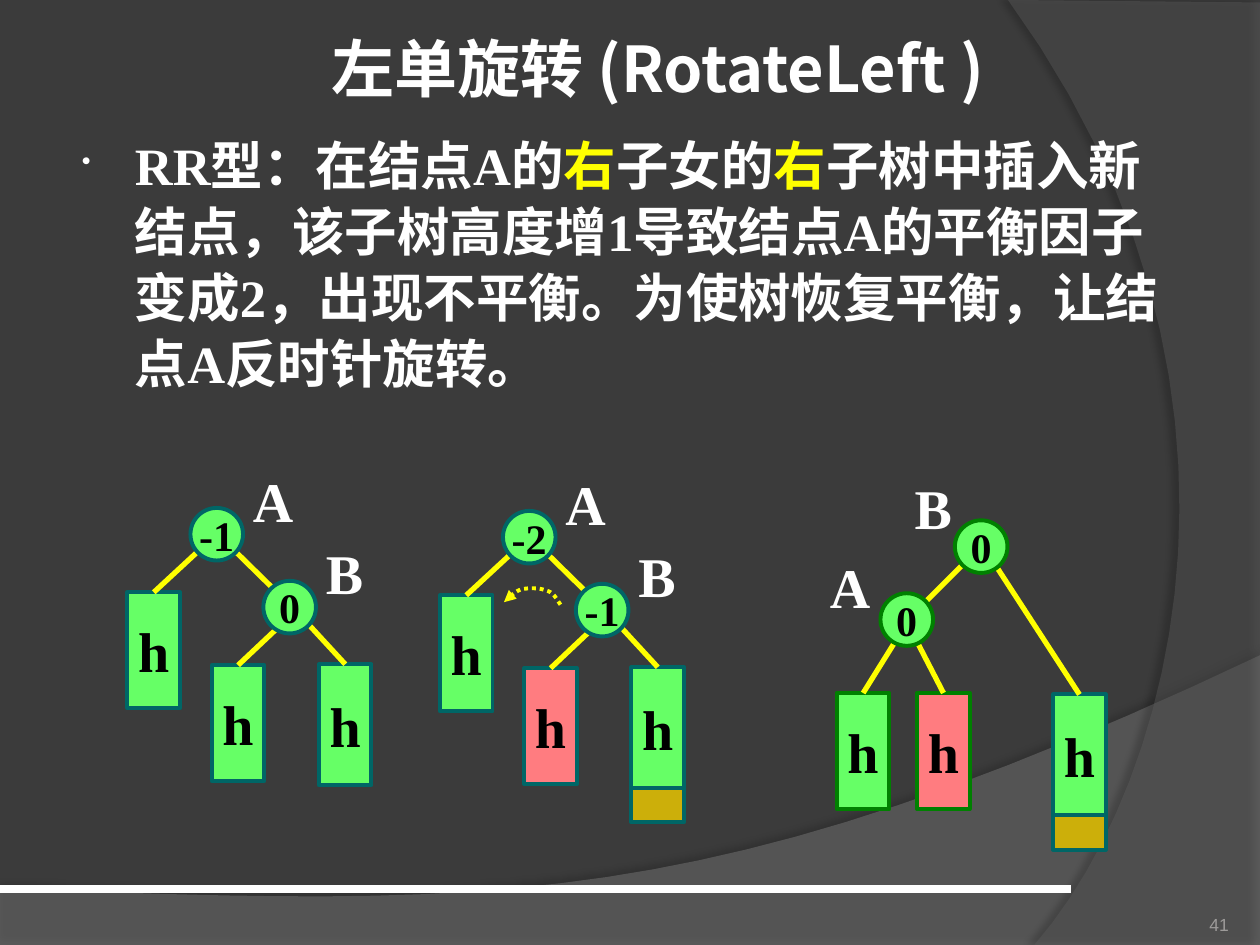
from lxml.etree import SubElement
from pptx import Presentation
from pptx.dml.color import RGBColor
from pptx.enum.dml import MSO_LINE
from pptx.enum.shapes import MSO_CONNECTOR, MSO_SHAPE as Preset
from pptx.enum.text import MSO_ANCHOR as Anchor, PP_ALIGN as Align
from pptx.oxml.ns import qn
from pptx.util import Cm, Pt

THEME = {
    "background": "3B3B3B", "lower_veil": "7F7F7F", "right_veil": "5E5E5E",
    "text": "FFFFFF", "accent": "FFFF00", "dark": "000000", "number": "9D9B9A",
    "green": "66FF66", "pink": "FF7C80", "gold": "CCAF0A",
    "teal_edge": "006666", "green_edge": "008000",
    "serif": "Times New Roman", "cjk": "Noto Sans CJK JP", "sans": "Arial",
    "title_size": 36, "body_size": 30, "label_size": 32,
    "balance_size": 24, "number_size": 10,
    "rule_width": 4.5, "edge_width": 3, "outline_width": 2.25,
}

# Content; all positions are in centimetres
TITLE = "左单旋转 (RotateLeft )"
BODY = [
    ("RR型：在结点A的", "text"), ("右", "accent"), ("子女的", "text"), ("右", "accent"),
    ("子树中插入新结点，该子树高度增1导致结点A的平衡因子变成2，"
     "出现不平衡。为使树恢复平衡，让结点A反时针旋转。", "text"),
]
PAGE_NUMBER = "41"

NODE, SUBTREE_WIDTH, NEW_HEIGHT = 1.06, 1.06, 0.69
SHORT, TALL = 2.34, 2.44

# Layout shared by the trees before rotation
BEFORE = {
    "labels": [("A", 4.85, 9.27), ("B", 6.32, 10.72)],
    "nodes": [(3.84, 10.24), (5.31, 11.71)],
    "node_edge": (4.29, 10.67, 5.92, 12.27),
    # left, top, height, start of the edge from the parent
    "subtrees": [(2.57, 11.94, SHORT, (4.04, 11.07)),
                 (4.27, 13.41, SHORT, (5.69, 12.57)),
                 (6.43, 13.39, TALL, (6.02, 12.37))],
}
AFTER = {
    "labels": [("B", 18.19, 9.42), ("A", 16.48, 11)],
    "nodes": [(19.25, 10.49), (17.75, 11.96)],
    "node_edge": (19.46, 11.33, 18.39, 12.4),
    "subtrees": [(16.87, 13.97, SHORT, (18.16, 12.75)),
                 (18.49, 13.97, SHORT, (18.39, 12.75)),
                 (21.23, 14, TALL, (19.91, 11.15))],
}
TEAL, GREEN = "teal_edge", "green_edge"
TREES = [
    {"layout": BEFORE, "shift": (0, 0), "balances": ["-1", "0"], "node_outline": TEAL,
     "fills": ["green"] * 3, "outlines": [TEAL] * 3, "inserted": False},
    {"layout": BEFORE, "shift": (6.3, 0.06), "balances": ["-2", "-1"], "node_outline": TEAL,
     "fills": ["green", "pink", "green"], "outlines": [TEAL] * 3, "inserted": True},
    {"layout": AFTER, "shift": (0, 0), "balances": ["0", "0"], "node_outline": GREEN,
     "fills": ["green", "pink", "green"], "outlines": [GREEN, GREEN, TEAL], "inserted": True},
]

# Outlines: a pair is a corner, three pairs are a cubic curve
LOWER_VEIL = [(0, 17.91), (0, 19.05), (25.4, 19.05), (25.4, 13.21),
              ((14.2, 18.52), (9.93, 18.26), (0, 17.91))]
RIGHT_VEIL = [(25.4, 0.05), (25.4, 19.05), (20.85, 19.05),
              ((23.75, 15.72), (25.86, 7.62), (20.32, 0)), (25.4, 0.05)]
TURN_ARROW = [(11.3, 12.19), ((11.23, 12.09), (11.18, 11.99), (11.1, 11.94)),
              ((11, 11.89), (10.87, 11.86), (10.77, 11.86)),
              ((10.67, 11.86), (10.54, 11.86), (10.44, 11.91)),
              ((10.34, 11.96), (10.21, 12.11), (10.16, 12.14))]


def color(name):
    return RGBColor.from_string(THEME[name])


def write(shape, runs, *, size, tint="text", font="serif", bold=True, align=Align.LEFT,
          anchor=Anchor.TOP, wrap=False, insets=(0.25, 0.13), spacing=None, bullet=False):
    """Fill a shape with one formatted paragraph."""
    frame = shape.text_frame
    frame.word_wrap, frame.vertical_anchor = wrap, anchor
    frame.margin_left = frame.margin_right = Cm(insets[0])
    frame.margin_top = frame.margin_bottom = Cm(insets[1])
    paragraph = frame.paragraphs[0]
    paragraph.alignment = align
    if spacing:
        paragraph.line_spacing = spacing
    if bullet:
        properties = paragraph._p.get_or_add_pPr()
        properties.set("marL", str(Cm(1.17)))
        properties.set("indent", str(Cm(-1.07)))
        bullet_color = SubElement(properties, qn("a:buClr"))
        SubElement(bullet_color, qn("a:srgbClr"), val=THEME[tint])
        SubElement(properties, qn("a:buSzPct"), val="50000")
        SubElement(properties, qn("a:buChar"), char="•")
    for text, run_tint in [(runs, tint)] if isinstance(runs, str) else runs:
        run = paragraph.add_run()
        run.text = text
        run.font.name, run.font.bold = THEME[font], bold
        run.font.size = Pt(THEME[size])
        run.font.color.rgb = color(run_tint)
        SubElement(run._r.get_or_add_rPr(), qn("a:ea"), typeface=THEME["cjk"])


def add_text(slide, box, runs, **style):
    write(slide.shapes.add_textbox(*map(Cm, box)), runs, **style)


def add_box(slide, preset, box, fill, outline):
    shape = slide.shapes.add_shape(preset, *map(Cm, box))
    shape.shadow.inherit = False
    shape.fill.solid()
    shape.fill.fore_color.rgb = color(fill)
    shape.line.color.rgb = color(outline)
    shape.line.width = Pt(THEME["outline_width"])
    return shape


def add_line(slide, ends, tint, width):
    line = slide.shapes.add_connector(MSO_CONNECTOR.STRAIGHT, *map(Cm, ends))
    line.line.color.rgb = color(tint)
    line.line.width = Pt(THEME[width])
    SubElement(line._element.spPr, qn("a:effectLst"))
    return line


def add_outline(slide, steps, closed, samples=24):
    points = [steps[0]]
    for step in steps[1:]:
        if len(step) == 2:
            points.append(step)
            continue
        curve = (points[-1], *step)
        for index in range(1, samples + 1):
            t = index / samples
            weights = ((1 - t) ** 3, 3 * t * (1 - t) ** 2, 3 * t * t * (1 - t), t ** 3)
            points.append(tuple(sum(w * p[axis] for w, p in zip(weights, curve))
                                for axis in (0, 1)))
    corners = [(Cm(x), Cm(y)) for x, y in points]
    builder = slide.shapes.build_freeform(*corners[0])
    builder.add_line_segments(corners[1:], close=closed)
    shape = builder.convert_to_shape()
    shape.shadow.inherit = False
    return shape


def add_veil(slide, steps, fill, opacity, shade, distance, direction):
    veil = add_outline(slide, steps, closed=True)
    veil.fill.solid()
    veil.fill.fore_color.rgb = color(fill)
    veil.line.fill.background()
    properties = veil._element.spPr
    fill_color = properties.find(qn("a:solidFill")).find(qn("a:srgbClr"))
    SubElement(fill_color, qn("a:alpha"), val=str(opacity * 1000))
    shadow = SubElement(properties.find(qn("a:effectLst")), qn("a:outerShdw"),
                        blurRad=str(Pt(4)), dist=str(Pt(distance)),
                        dir=str(direction * 60000), algn="ctr", rotWithShape="0")
    shadow_color = SubElement(shadow, qn("a:srgbClr"), val=THEME["dark"])
    SubElement(shadow_color, qn("a:alpha"), val=str(shade * 1000))


def add_tree(slide, tree):
    layout, (dx, dy) = tree["layout"], tree["shift"]
    # Subtrees with the edges that end on them
    for (left, top, height, start), fill, outline in zip(
            layout["subtrees"], tree["fills"], tree["outlines"]):
        x, y = left + dx, top + dy
        subtree = add_box(slide, Preset.RECTANGLE, (x, y, SUBTREE_WIDTH, height), fill, outline)
        write(subtree, "h", size="label_size", tint="dark", align=Align.CENTER,
              anchor=Anchor.MIDDLE)
        edge = add_line(slide, (start[0] + dx, start[1] + dy, x, y), "accent", "edge_width")
        edge.end_connect(subtree, 0)
    if tree["inserted"]:
        add_box(slide, Preset.RECTANGLE, (x, y + height, SUBTREE_WIDTH, NEW_HEIGHT),
                "gold", "teal_edge")
    # Nodes with their balance factors and names
    x1, y1, x2, y2 = layout["node_edge"]
    add_line(slide, (x1 + dx, y1 + dy, x2 + dx, y2 + dy), "accent", "edge_width")
    for (left, top), balance in zip(layout["nodes"], tree["balances"]):
        node = add_box(slide, Preset.OVAL, (left + dx, top + dy, NODE, NODE),
                       "green", tree["node_outline"])
        write(node, balance, size="balance_size", tint="dark", align=Align.CENTER,
              anchor=Anchor.MIDDLE, insets=(0, 0))
    for name, left, top in layout["labels"]:
        add_text(slide, (left + dx, top + dy, 1.3, 1.61), name, size="label_size")


def main():
    presentation = Presentation()
    presentation.slide_width, presentation.slide_height = Cm(25.4), Cm(19.05)
    slide = presentation.slides.add_slide(presentation.slide_layouts[6])
    slide.background.fill.solid()
    slide.background.fill.fore_color.rgb = color("background")

    # Backdrop
    add_veil(slide, LOWER_VEIL, "lower_veil", 45, shade=35, distance=3.5, direction=270)
    add_veil(slide, RIGHT_VEIL, "right_veil", 40, shade=45, distance=4, direction=180)
    add_line(slide, (0, 17.93, 21.59, 17.93), "text", "rule_width")

    # Text
    add_text(slide, (5.31, 0.51, 15.9, 1.7), TITLE, size="title_size", font="cjk",
             align=Align.CENTER, anchor=Anchor.MIDDLE, wrap=True, insets=(0.13, 0.13))
    add_text(slide, (1.3, 2.49, 22.86, 7.39), BODY, size="body_size", wrap=True,
             spacing=1.05, bullet=True)
    add_text(slide, (22.66, 17.83, 2.11, 1.02), PAGE_NUMBER, size="number_size",
             tint="number", font="sans", bold=False, align=Align.RIGHT,
             anchor=Anchor.BOTTOM, wrap=True, insets=(0, 0))

    # Trees and the turning arrow
    for tree in TREES:
        add_tree(slide, tree)
    arrow = add_outline(slide, TURN_ARROW, closed=False, samples=6)
    arrow.fill.background()
    arrow.line.color.rgb = color("accent")
    arrow.line.width = Pt(THEME["outline_width"])
    arrow.line.dash_style = MSO_LINE.ROUND_DOT
    SubElement(arrow._element.spPr.find(qn("a:ln")), qn("a:tailEnd"), type="triangle")

    presentation.save("out.pptx")


if __name__ == "__main__":
    main()
